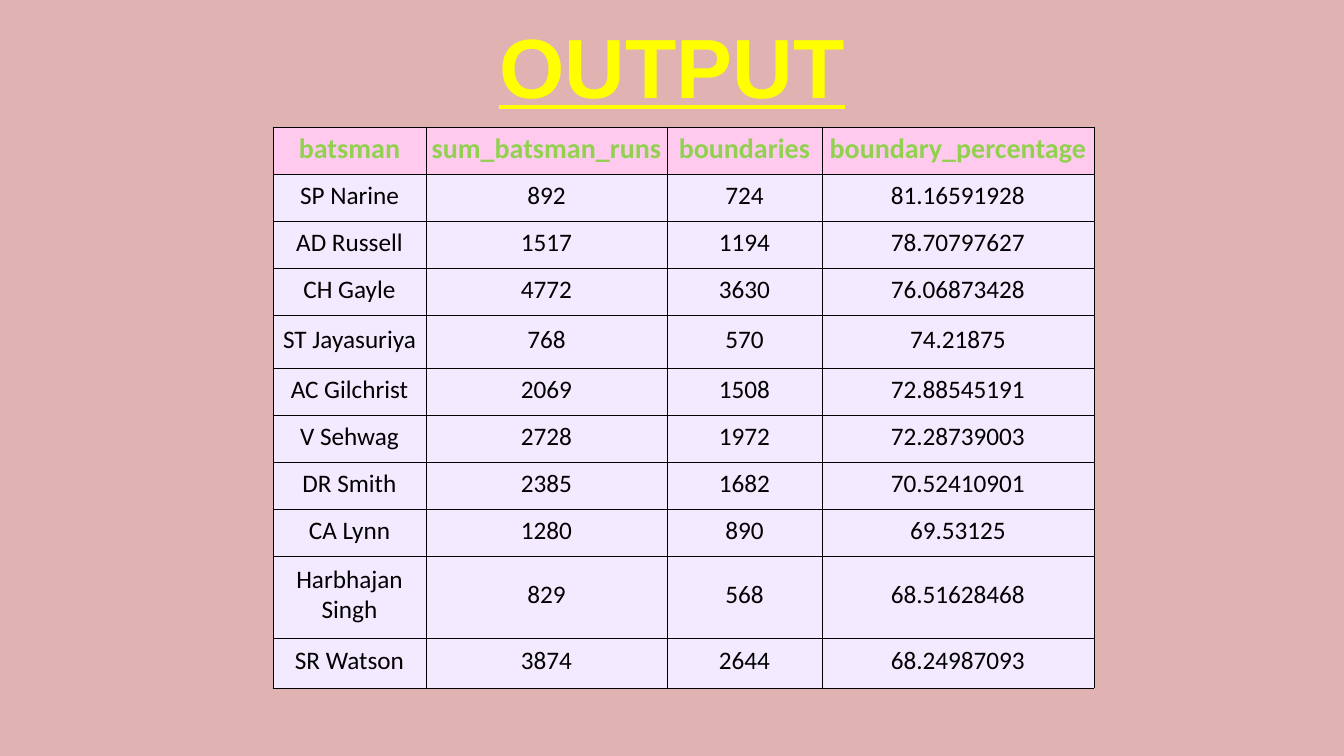
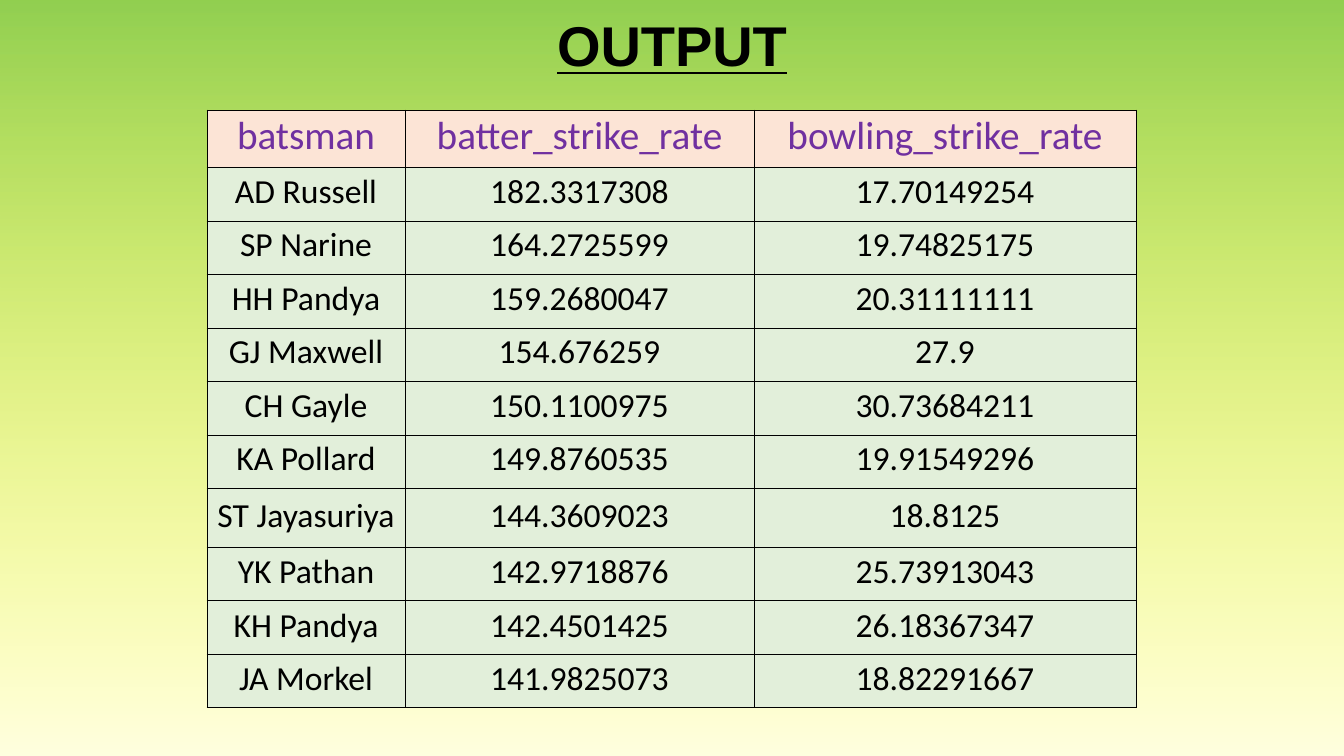
from lxml.etree import SubElement
from pptx import Presentation
from pptx.dml.color import RGBColor
from pptx.enum.shapes import MSO_SHAPE as Shape
from pptx.enum.text import MSO_ANCHOR as Anchor, MSO_AUTO_SIZE as Fit, PP_ALIGN as Align
from pptx.oxml.ns import qn
from pptx.util import Emu, Pt

BLACK = RGBColor(0x00, 0x00, 0x00)
YELLOW = RGBColor(0xFF, 0xFF, 0x00)
GREEN = RGBColor(0x92, 0xD0, 0x50)
PURPLE = RGBColor(0x70, 0x30, 0xA0)
ROSE = RGBColor(0xE0, 0xB3, 0xB2)
PINK = RGBColor(0xFF, 0xCA, 0xED)
LILAC = RGBColor(0xF4, 0xEA, 0xFF)
PEACH = RGBColor(0xFC, 0xE4, 0xD6)
MINT = RGBColor(0xE2, 0xEF, 0xDA)

WIDE, HIGH = 1344, 756


def px(n):
    return Emu(round(n * 12192000 / WIDE))


def style(frame, font, size, color, bold, under=False):
    para = frame.paragraphs[0]
    para.alignment = Align.CENTER
    para.line_spacing = 1.0
    face = para.runs[0].font
    face.name, face.size, face.bold = font, Pt(size), bold
    face.underline = under
    face.color.rgb = color


BOUNDS = [
    ("batsman", "sum_batsman_runs", "boundaries", "boundary_percentage"),
    ("SP Narine", "892", "724", "81.16591928"),
    ("AD Russell", "1517", "1194", "78.70797627"),
    ("CH Gayle", "4772", "3630", "76.06873428"),
    ("ST Jayasuriya", "768", "570", "74.21875"),
    ("AC Gilchrist", "2069", "1508", "72.88545191"),
    ("V Sehwag", "2728", "1972", "72.28739003"),
    ("DR Smith", "2385", "1682", "70.52410901"),
    ("CA Lynn", "1280", "890", "69.53125"),
    ("Harbhajan Singh", "829", "568", "68.51628468"),
    ("SR Watson", "3874", "2644", "68.24987093"),
]
RATES = [
    ("batsman", "batter_strike_rate", "bowling_strike_rate"),
    ("AD Russell", "182.3317308", "17.70149254"),
    ("SP Narine", "164.2725599", "19.74825175"),
    ("HH Pandya", "159.2680047", "20.31111111"),
    ("GJ Maxwell", "154.676259", "27.9"),
    ("CH Gayle", "150.1100975", "30.73684211"),
    ("KA Pollard", "149.8760535", "19.91549296"),
    ("ST Jayasuriya", "144.3609023", "18.8125"),
    ("YK Pathan", "142.9718876", "25.73913043"),
    ("KH Pandya", "142.4501425", "26.18367347"),
    ("JA Morkel", "141.9825073", "18.82291667"),
]
PAGES = [
    dict(rows=BOUNDS, back=[ROSE], title=(14, 60, YELLOW), at=(273, 127),
         cols=[153, 241, 155, 272],
         tall=[47] * 4 + [53] + [47] * 4 + [82, 50],
         head=(20, GREEN, True), size=18, fills=(PINK, LILAC)),
    dict(rows=RATES, back=[GREEN, YELLOW], title=(11, 40, BLACK), at=(207, 110),
         cols=[198, 349, 382],
         tall=[57] + [54, 53] * 3 + [60, 53, 54, 53],
         head=(28, PURPLE, False), size=24, fills=(PEACH, MINT)),
]

deck = Presentation()
deck.slide_width, deck.slide_height = px(WIDE), px(HIGH)

for page in PAGES:
    slide = deck.slides.add_slide(deck.slide_layouts[5])

    panel = slide.shapes.add_shape(Shape.RECTANGLE, 0, 0, px(WIDE), px(HIGH))
    panel.shadow.inherit = False
    panel.line.fill.background()
    if len(page["back"]) == 1:
        panel.fill.solid()
        panel.fill.fore_color.rgb = page["back"][0]
    else:
        panel.fill.gradient()
        panel.fill.gradient_angle = 270
        for stop, color in zip(panel.fill.gradient_stops, page["back"]):
            stop.color.rgb = color
        last = panel._element.findall(".//" + qn("a:srgbClr"))[-1]
        SubElement(last, qn("a:alpha"), val="13000")
    slide.shapes._spTree.insert(2, panel._element)

    top, size, color = page["title"]
    title = slide.shapes.title
    title.left, title.top = px(0), px(top)
    title.width, title.height = px(WIDE), px(size * 8 // 5)
    frame = title.text_frame
    frame.text = "OUTPUT"
    frame.auto_size = Fit.NONE
    frame.vertical_anchor = Anchor.TOP
    frame.margin_top = frame.margin_bottom = 0
    style(frame, "Arial", size, color, True, True)

    rows, cols, tall = page["rows"], page["cols"], page["tall"]
    left, top = page["at"]
    grid = slide.shapes.add_table(len(rows), len(cols), px(left), px(top),
                                  px(sum(cols)), px(sum(tall))).table
    grid.horz_banding = False
    for col, width in zip(grid.columns, cols):
        col.width = px(width)
    for r, row in enumerate(rows):
        grid.rows[r].height = px(tall[r])
        look = page["head"] if r == 0 else (page["size"], BLACK, False)
        for c, text in enumerate(row):
            cell = grid.cell(r, c)
            cell.text = text
            cell.vertical_anchor = Anchor.MIDDLE
            cell.margin_left = cell.margin_right = cell.margin_top = px(1)
            cell.margin_bottom = px(5)
            style(cell.text_frame, "Calibri", *look)
            props = cell._tc.get_or_add_tcPr()
            for side in "LRTB":
                edge = SubElement(props, qn("a:ln" + side), w=str(Pt(0.5)))
                ink = SubElement(edge, qn("a:solidFill"))
                SubElement(ink, qn("a:srgbClr"), val=str(BLACK))
            cell.fill.solid()
            cell.fill.fore_color.rgb = page["fills"][min(r, 1)]

deck.save("out.pptx")
